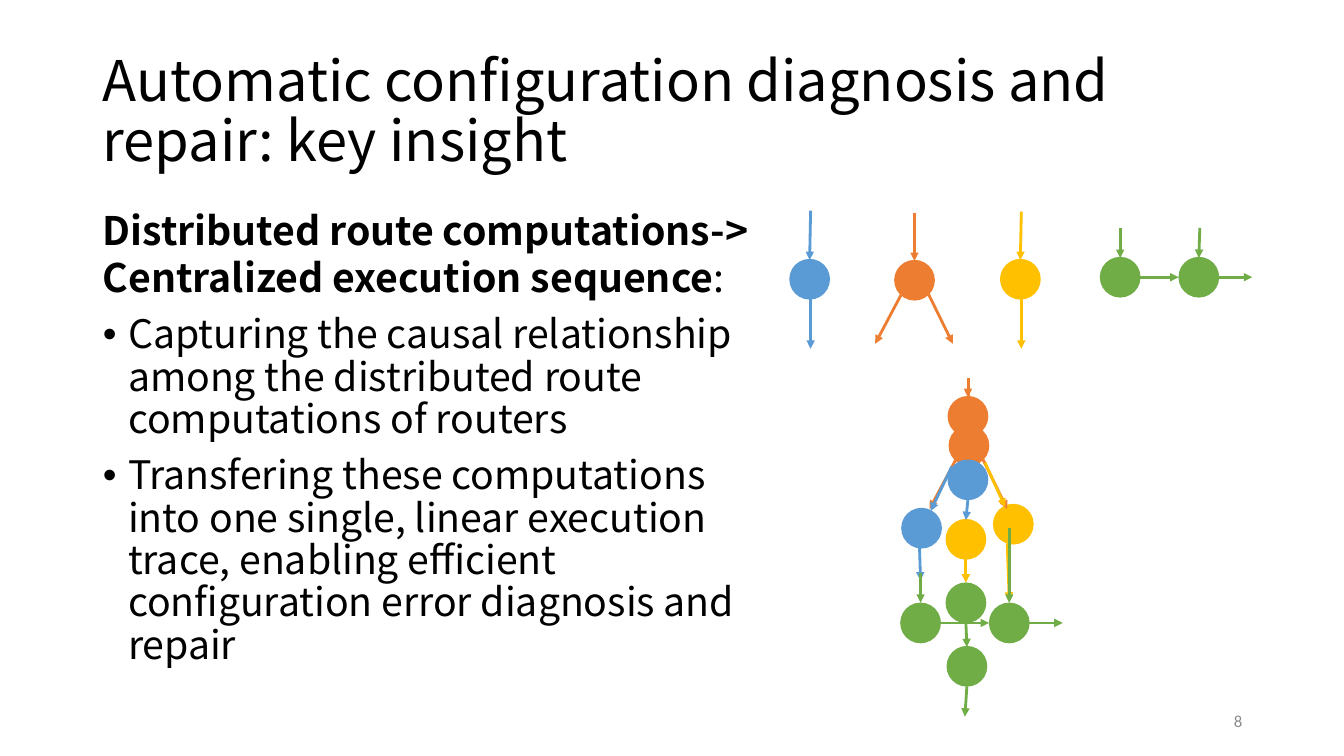
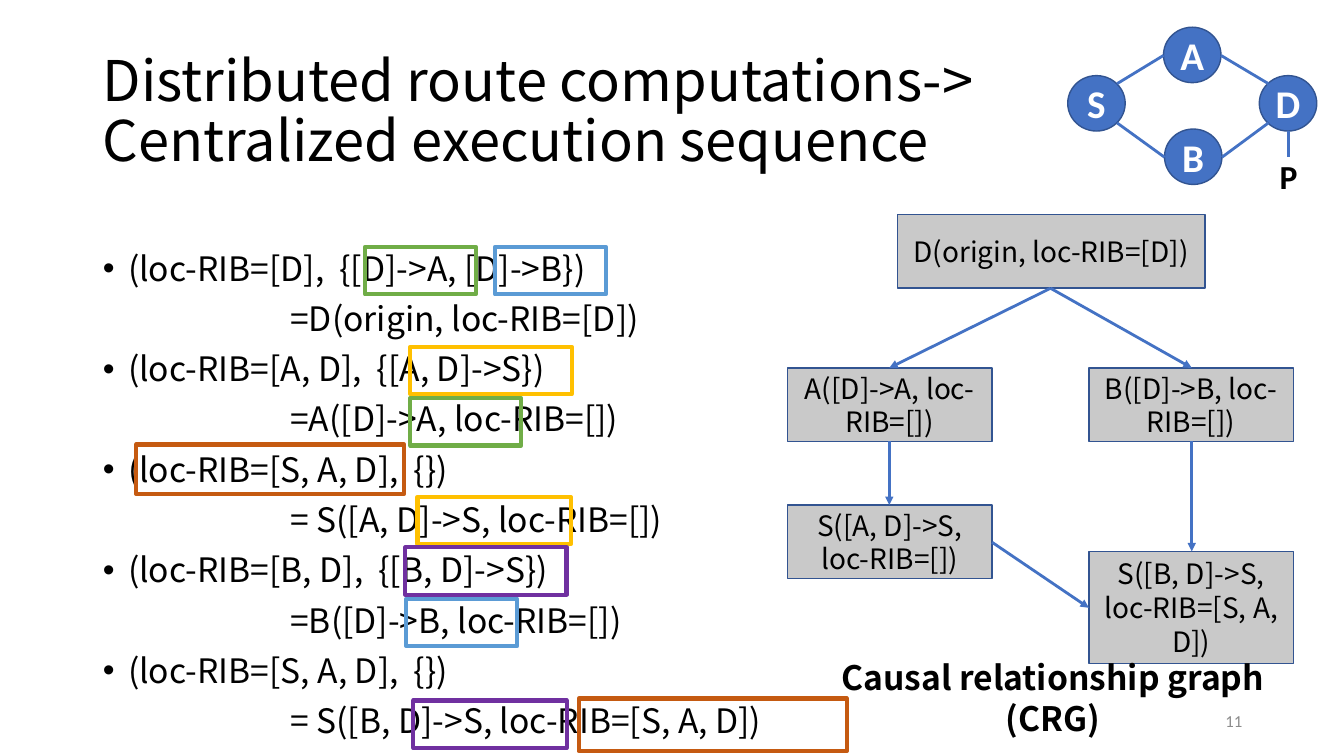
"""Build two slides on turning distributed route computations into one execution sequence."""
from dataclasses import dataclass
from typing import NamedTuple

from pptx import Presentation
from pptx import util as u
from pptx.dml.color import RGBColor
from pptx.enum import shapes, text
from pptx.oxml.ns import qn
from lxml import etree

CELL = 0.1
COLOURS = {
    "black": "000000", "white": "FFFFFF", "number": "8C8C8C", "panel": "C9C9C9",
    "node": "4472C4", "edge": "325491", "blue": "5B9BD5", "orange": "ED7D31",
    "yellow": "FFC000", "green": "70AD47", "purple": "7030A0", "rust": "C55A11",
}
MAIN_FONT = "Noto Sans CJK SC"
SMALL_FONT = "Calibri"
DOT_SIZE = 3.9
BULLET_INDENT = 2.5
RESULT_INDENT = 18.6
WIDE_SPACE = 540


class Area(NamedTuple):
    """Left, top, width and height in grid cells."""
    column: float
    row: float
    columns: float
    rows: float


class Dot(NamedTuple):
    """A computation, placed by its centre."""
    colour: str
    column: float
    row: float


class Link(NamedTuple):
    """A straight line between two grid points."""
    colour: str
    column: float
    row: float
    end_column: float
    end_row: float


class Graph(NamedTuple):
    """Dots and the arrows drawn over them."""
    dots: list[Dot]
    arrows: list[Link]


class Label(NamedTuple):
    """A shape with its own wording."""
    wording: str
    area: Area


class Step(NamedTuple):
    """A router's state and the computation that led to it."""
    state: str
    sent: str
    computation: str


@dataclass
class Style:
    """Lettering of a run."""
    size: float
    font: str = MAIN_FONT
    colour: str = "black"
    bold: bool = False


TITLE = Style(40)
NUMBER = Style(12, SMALL_FONT, "number")
LIST = Style(28)
LIST_HEAD = Style(28, bold=True)
STEP = Style(24)
ROUTER = Style(28, SMALL_FONT, "white", True)
PREFIX = Style(24, SMALL_FONT, bold=True)
PANEL = Style(20)
CAPTION = Style(24, bold=True)

INSIGHT_HEAD = "Distributed route computations-> Centralized execution sequence"
INSIGHTS = [
    "Capturing the causal relationship among the distributed route computations of routers",
    "Transfering these computations into one single, linear execution trace, "
    "enabling efficient configuration error diagnosis and repair",
]
GRAPHS = [
    Graph([Dot("orange", 90.7, 27.8)],
          [Link("orange", 90.7, 21.1, 90.7, 25.9), Link("orange", 89.4, 29.2, 86.8, 34.1),
           Link("orange", 92.1, 29.2, 94.5, 34.1)]),
    Graph([Dot("yellow", 101.2, 27.7)],
          [Link("yellow", 101.3, 21, 101.2, 25.8), Link("yellow", 101.3, 29.7, 101.3, 34.6)]),
    Graph([Dot("blue", 80.3, 27.7)],
          [Link("blue", 80.4, 20.9, 80.3, 25.8), Link("blue", 80.4, 29.7, 80.4, 34.6)]),
    Graph([Dot("green", 111.1, 27.5), Dot("green", 118.9, 27.5)],
          [Link("green", 111.1, 22.6, 111.1, 25.6), Link("green", 120.8, 27.5, 124.2, 27.5),
           Link("green", 113, 27.5, 116.9, 27.5), Link("green", 119, 22.6, 118.9, 25.6)]),
    Graph([Dot("orange", 96.1, 44.2), Dot("blue", 91.4, 52.4), Dot("yellow", 100.5, 52),
           Dot("green", 91.3, 61.8), Dot("green", 100.1, 61.8)],
          [Link("orange", 96.1, 37.5, 96.1, 42.2), Link("orange", 94.8, 45.6, 92.2, 50.5),
           Link("orange", 97.5, 45.6, 99.9, 50.5), Link("blue", 94.4, 46.3, 92.3, 50.7),
           Link("blue", 91.2, 54.3, 91.3, 57.6), Link("yellow", 97.7, 45.9, 99.7, 50.3),
           Link("yellow", 99.9, 53.9, 100.1, 59.6), Link("green", 91.3, 56.8, 91.3, 59.8),
           Link("green", 102.1, 61.8, 105.4, 61.8), Link("green", 93.3, 61.8, 98.1, 61.8),
           Link("green", 100.1, 52.4, 100.1, 59.8)]),
    Graph([Dot("orange", 96, 41.3), Dot("green", 95.8, 59.8), Dot("blue", 96, 47.6),
           Dot("yellow", 95.8, 53.5), Dot("green", 95.9, 66.1)],
          [Link("orange", 96, 37.5, 96, 39.4), Link("orange", 96, 43.3, 96, 45.7),
           Link("green", 95.9, 68.1, 95.7, 71.1), Link("green", 95.8, 61.8, 95.9, 64.2),
           Link("yellow", 95.8, 55.5, 95.8, 57.8), Link("blue", 96, 49.5, 95.8, 51.6)]),
]

STEPS = [
    Step("(loc-RIB=[D],", "{[D]->A, [D]->B})", "=D(origin, loc-RIB=[D])"),
    Step("(loc-RIB=[A, D],", "{[A, D]->S})", "=A([D]->A, loc-RIB=[])"),
    Step("(loc-RIB=[S, A, D],", "{})", "= S([A, D]->S, loc-RIB=[])"),
    Step("(loc-RIB=[B, D],", "{[B, D]->S})", "=B([D]->B, loc-RIB=[])"),
    Step("(loc-RIB=[S, A, D],", "{})", "= S([B, D]->S, loc-RIB=[S, A, D])"),
]
ROUTERS = [Label(name, Area(column, row, 5.7, 5.5)) for name, column, row in
           [("S", 105.9, 7.5), ("A", 115.4, 2.7), ("B", 115.5, 12.8), ("D", 124.9, 7.5)]]
CABLES = [Link("node", 121.1, 5.5, 125.8, 8.3), Link("node", 121.2, 15.6, 125.8, 12.2),
          Link("node", 110.8, 8.3, 115.4, 5.5), Link("node", 110.8, 12.2, 115.5, 15.6),
          Link("node", 127.8, 13, 127.8, 15.6)]
MARKS = [
    ("green", Area(36.2, 24.5, 11, 4.7)), ("green", Area(40.7, 39.5, 11, 4.7)),
    ("blue", Area(49.1, 24.5, 11, 4.7)), ("blue", Area(40.3, 59.4, 11, 4.7)),
    ("yellow", Area(40.7, 34.4, 16, 4.7)), ("yellow", Area(41.4, 49.3, 15.2, 4.7)),
    ("purple", Area(40.2, 54.3, 16, 4.7)), ("purple", Area(41, 69.5, 15.2, 4.7)),
    ("rust", Area(13.5, 44.1, 26.6, 4.9)), ("rust", Area(57.4, 69.3, 26.6, 5.2)),
]
PANELS = [
    Label("D(origin, loc-RIB=[D])", Area(89, 21.3, 30.5, 7.3)),
    Label("A([D]->A, loc-RIB=[])", Area(78.1, 36.5, 20.3, 7.3)),
    Label("S([A, D]->S, loc-RIB=[])", Area(78.1, 50.1, 20.3, 7.3)),
    Label("B([D]->B, loc-RIB=[])", Area(108, 36.5, 20.3, 7.3)),
    Label("S([B, D]->S, loc-RIB=[S, A, D])", Area(108, 54.7, 20.3, 11.1)),
]
CAUSES = [Link("node", 104.2, 28.6, 88.2, 36.5), Link("node", 104.2, 28.6, 118.2, 36.5),
          Link("node", 88.2, 43.8, 88.2, 50.1), Link("node", 98.4, 53.8, 108, 60.3),
          Link("node", 118.2, 43.8, 118.2, 54.7)]


def cells(count: float) -> u.Length:
    """Turn grid cells into a length."""
    return u.Inches(count * CELL)


def rgb(name: str) -> RGBColor:
    """Look up a colour."""
    return RGBColor.from_string(COLOURS[name])


def letter(para, style: Style) -> None:
    """Format every run of a paragraph."""
    for span in para.runs:
        span.font.size = u.Pt(style.size)
        span.font.name = style.font
        span.font.bold = style.bold
        span.font.color.rgb = rgb(style.colour)


def place(shape, area: Area) -> None:
    """Move a placeholder to an area."""
    shape.left, shape.top, shape.width, shape.height = map(cells, area)


def add_text(page, area: Area, lines: list[str], style: Style,
             align=text.PP_ALIGN.CENTER, anchor=text.MSO_ANCHOR.TOP, wrap: bool = True):
    """Add a text box with one paragraph per line."""
    box = page.shapes.add_textbox(*map(cells, area))
    frame = box.text_frame
    frame.text = "\n".join(lines)
    frame.word_wrap = wrap
    frame.vertical_anchor = anchor
    for para in frame.paragraphs:
        para.alignment = align
        letter(para, style)
    return box


def add_shape(page, kind, area: Area, fill: str | None, line: str, width: float):
    """Add an outlined preset shape without a shadow."""
    shape = page.shapes.add_shape(kind, *map(cells, area))
    shape.shadow.inherit = False
    if fill:
        shape.fill.solid()
        shape.fill.fore_color.rgb = rgb(fill)
    else:
        shape.fill.background()
    shape.line.color.rgb = rgb(line)
    shape.line.width = u.Pt(width)
    return shape


def add_label(page, kind, label: Label, fill: str, style: Style, inset: float) -> None:
    """Add a filled shape with centred wording."""
    shape = add_shape(page, kind, label.area, fill, "edge", 1)
    frame = shape.text_frame
    frame.text = label.wording
    frame.word_wrap = True
    frame.vertical_anchor = text.MSO_ANCHOR.MIDDLE
    frame.margin_left = frame.margin_right = cells(inset)
    frame.margin_top = frame.margin_bottom = 0
    frame.paragraphs[0].alignment = text.PP_ALIGN.CENTER
    letter(frame.paragraphs[0], style)


def add_link(page, link: Link, arrow: bool = True) -> None:
    """Add a line, with an arrowhead at its end if asked."""
    connector = page.shapes.add_connector(
        shapes.MSO_CONNECTOR.STRAIGHT, *map(cells, link[1:]))
    connector.line.color.rgb = rgb(link.colour)
    connector.line.width = u.Pt(2)
    properties = connector.element.spPr
    if arrow:
        etree.SubElement(properties.find(qn("a:ln")), qn("a:tailEnd"), type="triangle")
    etree.SubElement(properties, qn("a:effectLst"))


def set_paragraph(para, bullet: bool, first: bool, indent: float = 0, spacing: float = 0.9) -> None:
    """Give a list paragraph its spacing, indent and bullet."""
    para.line_spacing = spacing
    para.space_before = u.Pt(0 if first else 10)
    properties = para._p.get_or_add_pPr()
    properties.set("marL", str(cells(BULLET_INDENT if bullet else indent)))
    properties.set("indent", str(-cells(BULLET_INDENT) if bullet else 0))
    if bullet:
        etree.SubElement(properties, qn("a:buFont"), typeface="Arial")
        etree.SubElement(properties, qn("a:buChar"), char="•")
    else:
        etree.SubElement(properties, qn("a:buNone"))


def add_page(deck, title: str, columns: float, number: str, body: Area):
    """Add a slide with its title and number; return it with its body frame."""
    page = deck.slides.add_slide(deck.slide_layouts[1])
    heading, content = page.shapes.title, page.placeholders[1]
    place(heading, Area(9.2, 4, columns, 14.5))
    place(content, body)
    for frame in (heading.text_frame, content.text_frame):
        frame.auto_size = text.MSO_AUTO_SIZE.NONE
        frame.word_wrap = True
    heading.text_frame.text = title
    heading.text_frame.vertical_anchor = text.MSO_ANCHOR.MIDDLE
    para = heading.text_frame.paragraphs[0]
    para.alignment = text.PP_ALIGN.LEFT
    para.line_spacing = 0.9
    letter(para, TITLE)
    add_text(page, Area(94.2, 69.5, 30, 4), [number], NUMBER,
             text.PP_ALIGN.RIGHT, text.MSO_ANCHOR.MIDDLE)
    return page, content.text_frame


def build_insight(deck) -> None:
    """Build the key insight slide."""
    page, frame = add_page(deck, "Automatic configuration diagnosis and repair: key insight",
                           118.8, "8", Area(9.2, 20, 69.6, 51.8))
    frame.text = "\n".join([INSIGHT_HEAD, *INSIGHTS])
    head, *points = frame.paragraphs
    set_paragraph(head, False, True, spacing=1.0)
    letter(head, LIST_HEAD)
    colon = head.add_run()
    colon.text = ":"
    colon.font.size, colon.font.name, colon.font.bold = u.Pt(LIST.size), LIST.font, False
    colon.font.color.rgb = rgb(LIST.colour)
    for para in points:
        set_paragraph(para, True, False)
        letter(para, LIST)
    for graph in GRAPHS:
        for dot in graph.dots:
            area = Area(dot.column - DOT_SIZE / 2, dot.row - DOT_SIZE / 2, DOT_SIZE, DOT_SIZE)
            add_shape(page, shapes.MSO_SHAPE.OVAL, area, dot.colour, dot.colour, 1)
        for arrow in graph.arrows:
            add_link(page, arrow)


def build_sequence(deck) -> None:
    """Build the execution sequence slide."""
    page, frame = add_page(deck, INSIGHT_HEAD, 115, "11", Area(9.2, 24.5, 82, 50.5))
    for index, step in enumerate(STEPS):
        state = frame.add_paragraph() if index else frame.paragraphs[0]
        set_paragraph(state, True, index == 0)
        for wording in (step.state, " ", step.sent):
            state.add_run().text = wording
        letter(state, STEP)
        state.runs[1].font._element.set("spc", str(WIDE_SPACE))
        result = frame.add_paragraph()
        result.text = step.computation
        set_paragraph(result, False, False, RESULT_INDENT)
        letter(result, STEP)
    for router in ROUTERS:
        add_label(page, shapes.MSO_SHAPE.OVAL, router, "node", ROUTER, 0)
    for cable in CABLES:
        add_link(page, cable, arrow=False)
    prefix = add_text(page, Area(126.1, 15, 3.4, 3.5), ["P"], PREFIX)
    prefix.text_frame.margin_left = prefix.text_frame.margin_right = 0
    for colour, area in MARKS:
        add_shape(page, shapes.MSO_SHAPE.RECTANGLE, area, None, colour, 3)
    for panel in PANELS:
        add_label(page, shapes.MSO_SHAPE.RECTANGLE, panel, "panel", PANEL, 1)
    for cause in CAUSES:
        add_link(page, cause)
    add_text(page, Area(81.3, 64.7, 46.2, 9.1), ["Causal relationship graph", "(CRG)"],
             CAPTION, wrap=False)


def main() -> None:
    """Build and save the deck."""
    deck = Presentation()
    deck.slide_width, deck.slide_height = u.Inches(13.33), u.Inches(7.5)
    build_insight(deck)
    build_sequence(deck)
    deck.save("out.pptx")


if __name__ == "__main__":
    main()
